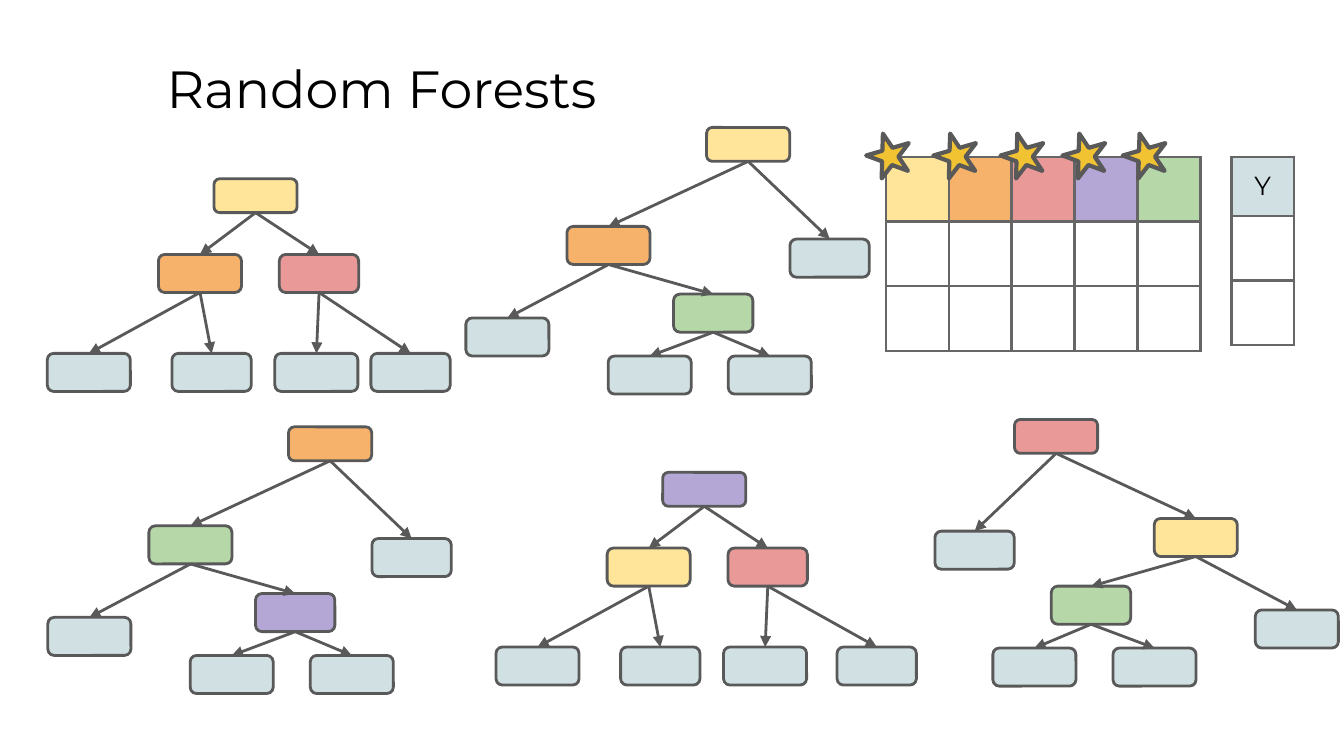
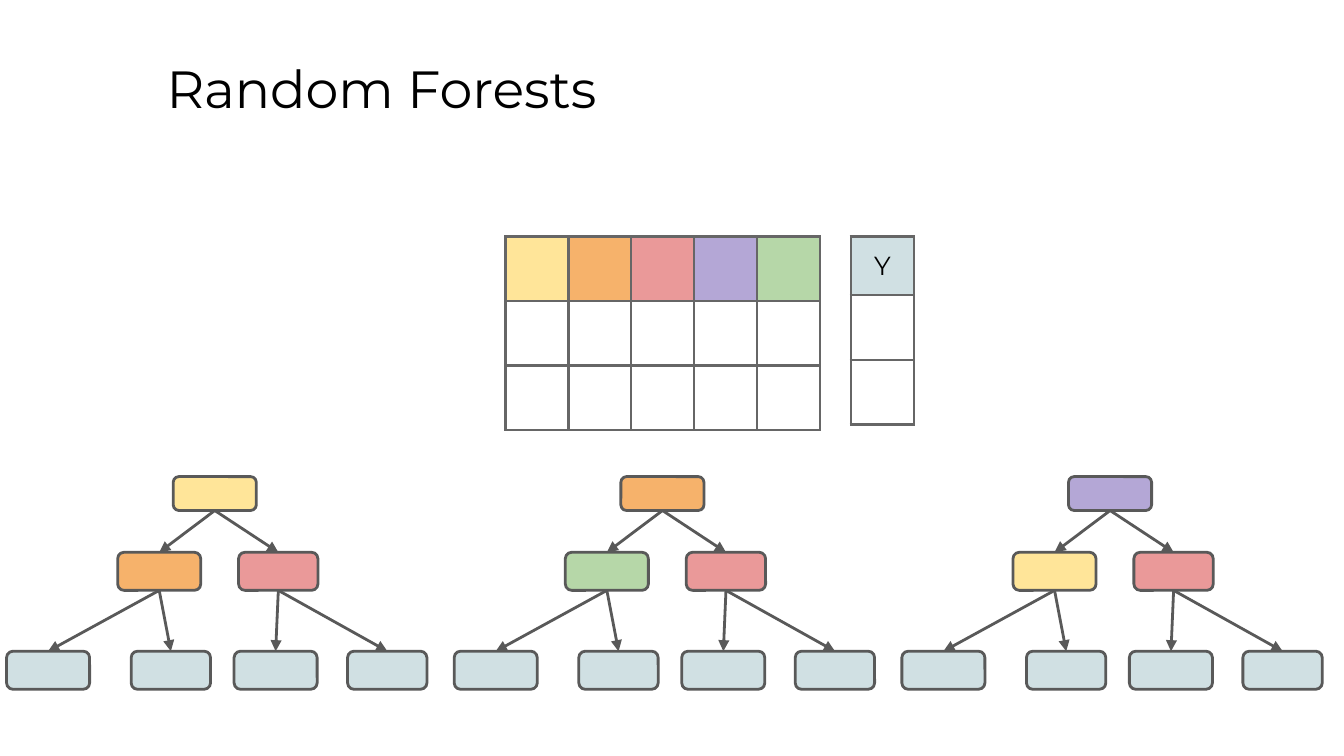
from typing import NamedTuple

from lxml import etree
from pptx import Presentation
from pptx.dml.color import RGBColor
from pptx.enum.shapes import MSO_CONNECTOR, MSO_SHAPE
from pptx.enum.text import MSO_ANCHOR, MSO_AUTO_SIZE, PP_ALIGN
from pptx.oxml.ns import qn
from pptx.util import Cm, Pt

ROUNDED = MSO_SHAPE.ROUNDED_RECTANGLE
STAR = MSO_SHAPE.STAR_5_POINT
STRAIGHT = MSO_CONNECTOR.STRAIGHT
TOP, MIDDLE = MSO_ANCHOR.TOP, MSO_ANCHOR.MIDDLE
LEFT, CENTER = PP_ALIGN.LEFT, PP_ALIGN.CENTER
NO_AUTOFIT = MSO_AUTO_SIZE.NONE

BLACK = RGBColor(0x00, 0x00, 0x00)
WHITE = RGBColor(0xFF, 0xFF, 0xFF)
OUTLINE = RGBColor(0x59, 0x59, 0x59)
BORDER = RGBColor(0x66, 0x66, 0x66)
YELLOW = RGBColor(0xFF, 0xE5, 0x99)
ORANGE = RGBColor(0xF6, 0xB2, 0x6B)
RED = RGBColor(0xEA, 0x99, 0x99)
PURPLE = RGBColor(0xB4, 0xA7, 0xD6)
GREEN = RGBColor(0xB6, 0xD7, 0xA8)
LEAF = RGBColor(0xD0, 0xE0, 0xE3)
GOLD = RGBColor(0xF1, 0xC2, 0x32)
FEATURES = [YELLOW, ORANGE, RED, PURPLE, GREEN]

FONT = "Montserrat"
WIDE, NARROW = 1.57, 1.5
ROOT_HEIGHT, NODE_HEIGHT = 0.64, 0.72
COLUMN_WIDTH, ROW_HEIGHT, TARGET_HEADER = 1.19, 1.22, 1.11
TARGET_OFFSET = 6.53
BOTTOM_SITE, TOP_SITE = 2, 0


class Node(NamedTuple):
    center: float
    top: float
    width: float = WIDE
    height: float = NODE_HEIGHT
    parent: int | None = None
    split: bool = False


class Tree(NamedTuple):
    center: float
    top: float
    nodes: list[Node]
    splits: list[RGBColor]
    mirrored: bool = False


ROOT = Node(0, 0, height=ROOT_HEIGHT, split=True)


def balanced(last_leaf: float = 3.26) -> list[Node]:
    return [
        ROOT,
        Node(-1.05, 1.43, parent=0, split=True),
        Node(1.2, 1.43, NARROW, parent=0, split=True),
        Node(-3.15, 3.3, parent=1),
        Node(-0.83, 3.3, NARROW, parent=1),
        Node(1.15, 3.3, parent=2),
        Node(last_leaf, 3.3, NARROW, parent=2),
    ]


DEEP = [
    ROOT,
    Node(-2.64, 1.87, parent=0, split=True),
    Node(1.54, 2.11, NARROW, parent=0),
    Node(-4.55, 3.6, parent=1),
    Node(-0.66, 3.15, NARROW, parent=1, split=True),
    Node(-1.86, 4.32, parent=4),
    Node(0.41, 4.32, parent=4),
]

FOREST = [
    Tree(4.83, 3.38, balanced(2.93), [YELLOW, ORANGE, RED]),
    Tree(6.24, 8.07, DEEP, [ORANGE, GREEN, PURPLE]),
    Tree(13.31, 8.93, balanced(), [PURPLE, YELLOW, RED]),
    Tree(19.96, 7.93, DEEP, [RED, YELLOW, GREEN], mirrored=True),
    Tree(14.14, 2.41, DEEP, [YELLOW, ORANGE, GREEN]),
]
ROW_OF_TREES = [
    Tree(4.06 + 8.46 * index, 9.01, balanced(), splits)
    for index, splits in enumerate(
        [[YELLOW, ORANGE, RED], [ORANGE, GREEN, RED], [PURPLE, YELLOW, RED]]
    )
]
STAR_LEFTS = [16.38, 17.65, 18.92, 20.09, 21.23]


def add_page(deck):
    page = deck.slides.add_slide(deck.slide_layouts[5])
    page.background.fill.solid()
    page.background.fill.fore_color.rgb = WHITE
    title = page.shapes.title
    title.left, title.top, title.width, title.height = Cm(2.9), Cm(0.81), Cm(21.64), Cm(1.6)
    frame = title.text_frame
    frame.text = "Random Forests"
    frame.word_wrap, frame.auto_size, frame.vertical_anchor = True, NO_AUTOFIT, TOP
    frame.margin_left = frame.margin_right = Cm(0.25)
    frame.margin_top = frame.margin_bottom = Cm(0.25)
    style_paragraph(frame.paragraphs[0], 28, LEFT)
    return page


def style_paragraph(para, size: float, alignment) -> None:
    para.alignment = alignment
    para.font.name = FONT
    para.font.size = Pt(size)
    para.font.color.rgb = BLACK


def add_filled(page, kind, left: float, top: float, width: float, height: float,
               color: RGBColor, line_width: float = 1.5):
    shape = page.shapes.add_shape(kind, Cm(left), Cm(top), Cm(width), Cm(height))
    shape.shadow.inherit = False
    shape.fill.solid()
    shape.fill.fore_color.rgb = color
    shape.line.color.rgb = OUTLINE
    shape.line.width = Pt(line_width)
    return shape


def add_arrow(page, parent, child) -> None:
    arrow = page.shapes.add_connector(STRAIGHT, 0, 0, 0, 0)
    arrow.begin_connect(parent, BOTTOM_SITE)
    arrow.end_connect(child, TOP_SITE)
    arrow.line.color.rgb = OUTLINE
    arrow.line.width = Pt(1.5)
    etree.SubElement(arrow.line._get_or_add_ln(), qn("a:tailEnd"), type="triangle")
    etree.SubElement(arrow._element.spPr, qn("a:effectLst"))


def draw_tree(page, tree: Tree) -> None:
    colors = iter(tree.splits)
    side = -1 if tree.mirrored else 1
    boxes = []
    for node in tree.nodes:
        left = tree.center + side * node.center - node.width / 2
        color = next(colors) if node.split else LEAF
        box = add_filled(page, ROUNDED, left, tree.top + node.top, node.width, node.height, color)
        boxes.append(box)
        if node.parent is not None:
            add_arrow(page, boxes[node.parent], box)


def set_borders(cell) -> None:
    properties = cell._tc.get_or_add_tcPr()
    for position, side in enumerate(("lnL", "lnR", "lnT", "lnB")):
        line = etree.Element(qn(f"a:{side}"), w=str(Pt(1.5)))
        fill = etree.SubElement(line, qn("a:solidFill"))
        etree.SubElement(fill, qn("a:srgbClr"), val=str(BORDER))
        properties.insert(position, line)


def add_grid(page, left: float, top: float, headers: list[RGBColor],
             header_height: float = ROW_HEIGHT):
    heights = [header_height, ROW_HEIGHT, ROW_HEIGHT]
    table = page.shapes.add_table(
        len(heights), len(headers), Cm(left), Cm(top),
        Cm(COLUMN_WIDTH * len(headers)), Cm(sum(heights)),
    ).table
    table.first_row = table.horz_banding = False
    for column in table.columns:
        column.width = Cm(COLUMN_WIDTH)
    for row, height in zip(table.rows, heights):
        row.height = Cm(height)
    for cell in table.iter_cells():
        cell.fill.background()
        set_borders(cell)
    for cell, color in zip(table.rows[0].cells, headers):
        cell.fill.solid()
        cell.fill.fore_color.rgb = color
    return table


def draw_data(page, left: float, top: float) -> None:
    add_grid(page, left, top, FEATURES)
    target = add_grid(page, left + TARGET_OFFSET, top, [LEAF], TARGET_HEADER)
    cell = target.cell(0, 0)
    cell.text = "Y"
    cell.vertical_anchor = MIDDLE
    style_paragraph(cell.text_frame.paragraphs[0], 14, CENTER)


def main() -> None:
    deck = Presentation()
    deck.slide_width, deck.slide_height = Cm(25.4), Cm(14.29)

    forest_page = add_page(deck)
    draw_data(forest_page, 16.74, 2.97)
    for tree in FOREST:
        draw_tree(forest_page, tree)
    for left in STAR_LEFTS:
        star = add_filled(forest_page, STAR, left, 2.51, 0.84, 0.81, GOLD, 2.25)
        star.rotation = 343.8

    row_page = add_page(deck)
    for tree in ROW_OF_TREES:
        draw_tree(row_page, tree)
    draw_data(row_page, 9.55, 4.47)

    deck.save("out.pptx")


if __name__ == "__main__":
    main()
